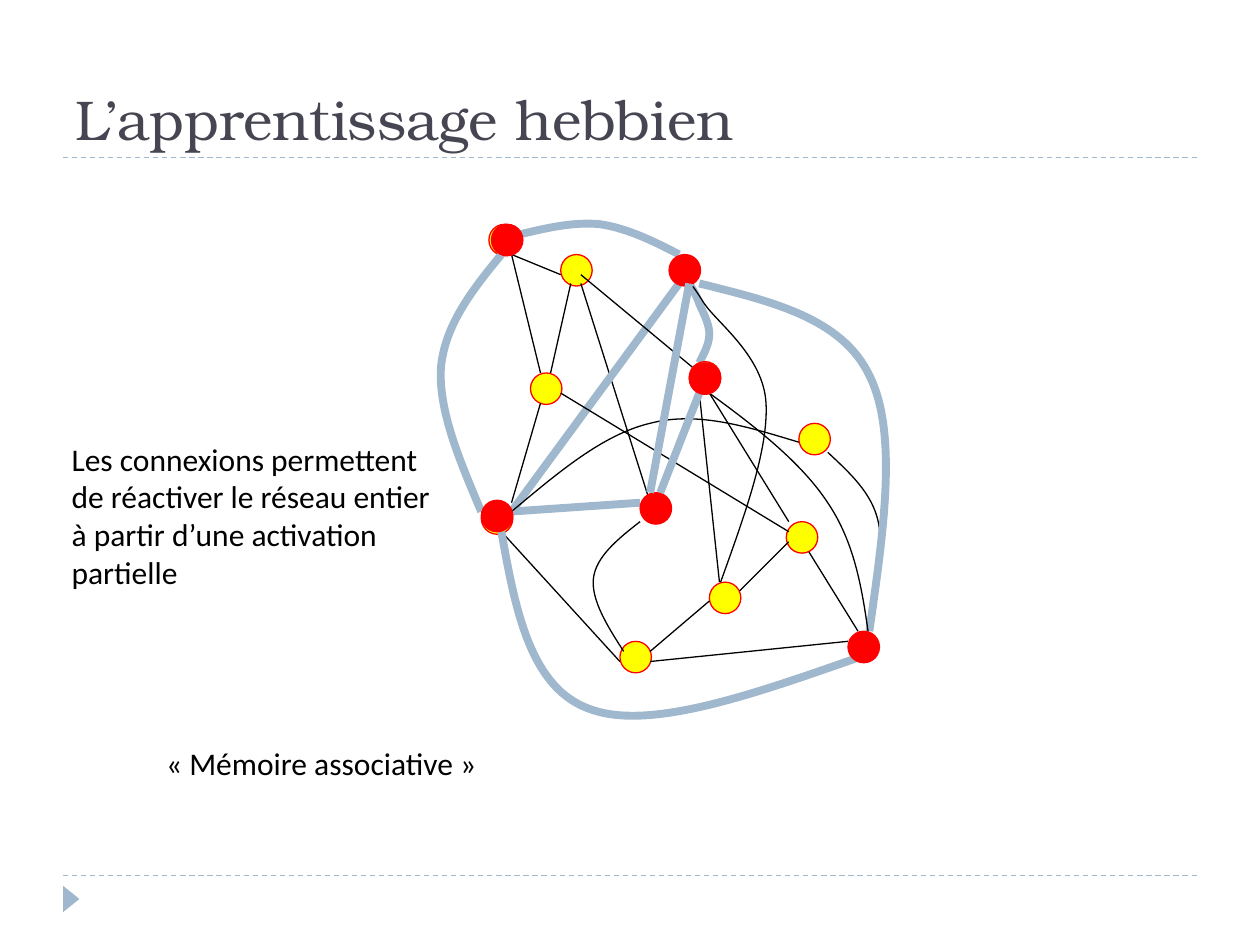
"""Build a slide on Hebbian learning: a network of linked nodes with notes."""
from lxml import etree
from pptx import Presentation
from pptx import util as u
from pptx.dml.color import RGBColor
from pptx.enum import dml, shapes, text
from pptx.oxml import ns

BLUE, BLACK, RED, YELLOW = "9FB8CD", "000000", "FF0000", "FFFF00"
WIDE, THIN = (BLUE, 4.5), (BLACK, 0.75)


def hue(code):
    return RGBColor.from_string(code)


class Pen:
    def __init__(self, slide):
        self.shapes = slide.shapes
        self.font = "Calibri"
        self.size = 0.25

    def ink(self, line, pen):
        line.color.rgb = hue(pen[0])
        line.width = u.Pt(pen[1])

    def line(self, start, end, pen):
        ends = [u.Inches(v) for v in start + end]
        link = self.shapes.add_connector(shapes.MSO_CONNECTOR.STRAIGHT, *ends)
        self.ink(link.line, pen)
        etree.SubElement(link._element.spPr, ns.qn("a:effectLst"))
        return link

    def rule(self, y):
        link = self.line((0.5, y), (9.5, y), (BLUE, 0.75))
        link.line.dash_style = dml.MSO_LINE.DASH

    def curve(self, points, pen):
        spots = [(u.Inches(x), u.Inches(y)) for x, y in points]
        form = self.shapes.build_freeform(*spots[0])
        form.add_line_segments(spots[1:], close=False)
        shape = form.convert_to_shape()
        track = shape._element.find(".//" + ns.qn("a:path"))
        steps = track.findall(ns.qn("a:lnTo"))
        for i in range(0, len(steps), 3):
            bend = etree.SubElement(track, ns.qn("a:cubicBezTo"))
            for step in steps[i:i + 3]:
                bend.append(step[0])
                track.remove(step)
        shape.fill.background()
        shape.shadow.inherit = False
        self.ink(shape.line, pen)

    def link(self, pen, *points):
        if len(points) == 2:
            self.line(*points, pen)
        else:
            self.curve(points, pen)

    def shape(self, kind, box, fill):
        shape = self.shapes.add_shape(kind, *[u.Inches(v) for v in box])
        shape.shadow.inherit = False
        shape.fill.solid()
        shape.fill.fore_color.rgb = hue(fill)
        shape.line.fill.background()
        return shape

    def node(self, x, y, fill):
        box = (x, y, self.size, self.size)
        dot = self.shape(shapes.MSO_SHAPE.OVAL, box, fill)
        self.ink(dot.line, (RED, 0.75))

    def text(self, words, box, size=18, color=BLACK, font=None, wrap=True, title=False):
        area = self.shapes.add_textbox(*[u.Inches(v) for v in box])
        frame = area.text_frame
        frame.word_wrap = wrap
        fit = text.MSO_AUTO_SIZE
        frame.auto_size = fit.NONE if title else fit.SHAPE_TO_FIT_TEXT
        frame.vertical_anchor = text.MSO_ANCHOR.BOTTOM if title else text.MSO_ANCHOR.TOP
        para = frame.paragraphs[0]
        para.text = words
        para.font.name = font or self.font
        para.font.size = u.Pt(size)
        para.font.color.rgb = hue(color)


BASE = [(3.88, 1.78), (4.45, 2.02), (4.21, 2.96), (4.92, 5.09),
        (6.34, 3.36), (5.63, 4.62), (6.24, 4.14)]

LINKS = [
    (WIDE, (3.98, 2.02), (3.75, 2.3), (3.53, 2.58), (3.5, 2.92),
     (3.48, 3.26), (3.65, 3.66), (3.82, 4.06)),
    (THIN, (5.08, 4.14), (4.9, 4.28), (4.73, 4.42), (4.71, 4.59),
     (4.69, 4.76), (4.82, 4.97), (4.95, 5.17)),
    (WIDE, (5.47, 2.25), (5.5, 2.3), (5.53, 2.35), (5.55, 2.41), (5.58, 2.48),
     (5.63, 2.57), (5.63, 2.65), (5.63, 2.73), (5.59, 2.8), (5.55, 2.88)),
    (THIN, (6.57, 3.59), (6.74, 3.75), (6.92, 3.91), (6.97, 4.14),
     (7.02, 4.38), (6.95, 4.69), (6.89, 5.01)),
    (THIN, (4.53, 2.25), (4.37, 2.96)),
    (THIN, (4.61, 2.25), (5.16, 3.99)),
    (THIN, (5.55, 3.12), (5.71, 4.62)),
    (WIDE, (5.39, 2.25), (4.06, 4.06)),
    (WIDE, (4.06, 4.06), (5.08, 3.99)),
    (THIN, (4.06, 4.06), (4.42, 3.76), (4.78, 3.45), (5.16, 3.36),
     (5.54, 3.26), (5.94, 3.39), (6.34, 3.51)),
    (THIN, (4.61, 2.18), (5.55, 2.96)),
    (THIN, (5.63, 3.12), (6.26, 4.14)),
    (THIN, (5.87, 4.69), (6.26, 4.3)),
    (THIN, (6.42, 4.38), (6.81, 5.01)),
    (THIN, (5.16, 5.17), (5.63, 4.77)),
    (THIN, (3.98, 4.22), (4.92, 5.25)),
    (THIN, (5.47, 2.25), (5.48, 2.25), (5.49, 2.25), (5.59, 2.41), (5.7, 2.57),
     (6.06, 2.83), (6.08, 3.2), (6.1, 3.57), (5.91, 4.09), (5.72, 4.62)),
    (THIN, (4.45, 3.12), (6.26, 4.22)),
    (THIN, (5.16, 5.25), (6.73, 5.09)),
    (THIN, (4.06, 2.02), (4.29, 2.96)),
    (THIN, (4.06, 2.02), (4.45, 2.18)),
    (WIDE, (4.13, 1.86), (4.34, 1.81), (4.55, 1.76), (4.76, 1.78),
     (4.97, 1.81), (5.18, 1.91), (5.39, 2.02)),
    (THIN, (4.29, 3.2), (4.06, 3.99)),
    (WIDE, (5.55, 2.25), (6.11, 2.39), (6.68, 2.52), (6.9, 2.98),
     (7.13, 3.44), (7.01, 4.23), (6.9, 5.01)),
]

MIDDLE = [(3.9, 1.78, RED), (3.82, 3.99, YELLOW), (5.08, 3.91, RED),
          (5.31, 2.02, RED), (5.47, 2.87, YELLOW)]

UPPER = [
    (WIDE, (3.98, 4.22), (4.09, 4.84), (4.21, 5.47), (4.69, 5.63),
     (5.16, 5.8), (5.98, 5.51), (6.81, 5.22)),
    (WIDE, (5.55, 3.12), (5.24, 3.91)),
    (THIN, (5.63, 3.12), (6, 3.39), (6.36, 3.67), (6.57, 3.99),
     (6.78, 4.3), (6.84, 4.66), (6.89, 5.01)),
    (WIDE, (5.47, 2.25), (5.16, 3.91)),
]

TOP = [(6.73, 5.01), (5.47, 2.88), (3.82, 3.97)]


def main():
    deck = Presentation()
    deck.slide_width, deck.slide_height = u.Inches(10), u.Inches(7.5)
    pen = Pen(deck.slides.add_slide(deck.slide_layouts[6]))
    for y in (6.95, 1.25):
        pen.rule(y)
    mark = pen.shape(shapes.MSO_SHAPE.ISOSCELES_TRIANGLE, (0.46, 7.07, 0.21, 0.13), BLUE)
    mark.rotation = 90
    pen.text("L’apprentissage hebbien", (0.5, 0.17, 9, 1.08), 32, "464653",
             "TeX Gyre Bonum", title=True)
    for x, y in BASE:
        pen.node(x, y, YELLOW)
    for link in LINKS:
        pen.link(*link)
    for node in MIDDLE:
        pen.node(*node)
    for link in UPPER:
        pen.link(*link)
    for x, y in TOP:
        pen.node(x, y, RED)
    pen.text("Les connexions permettent de réactiver le réseau entier "
             "à partir d’une activation partielle", (0.47, 3.44, 3.12, 1.3))
    pen.text("« Mémoire associative »", (1.22, 5.86, 2.99, 0.4), wrap=False)
    deck.save("out.pptx")


if __name__ == "__main__":
    main()
